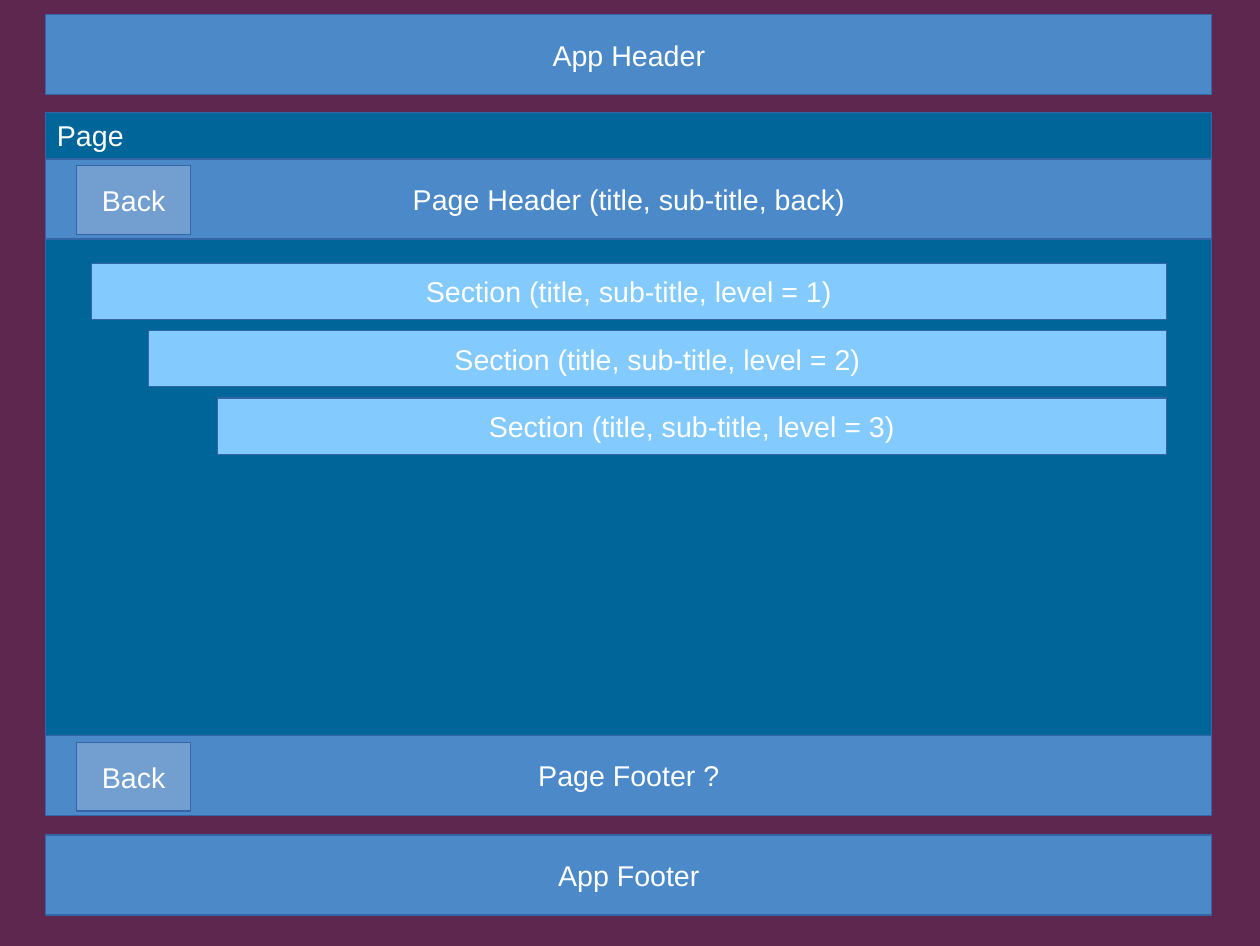
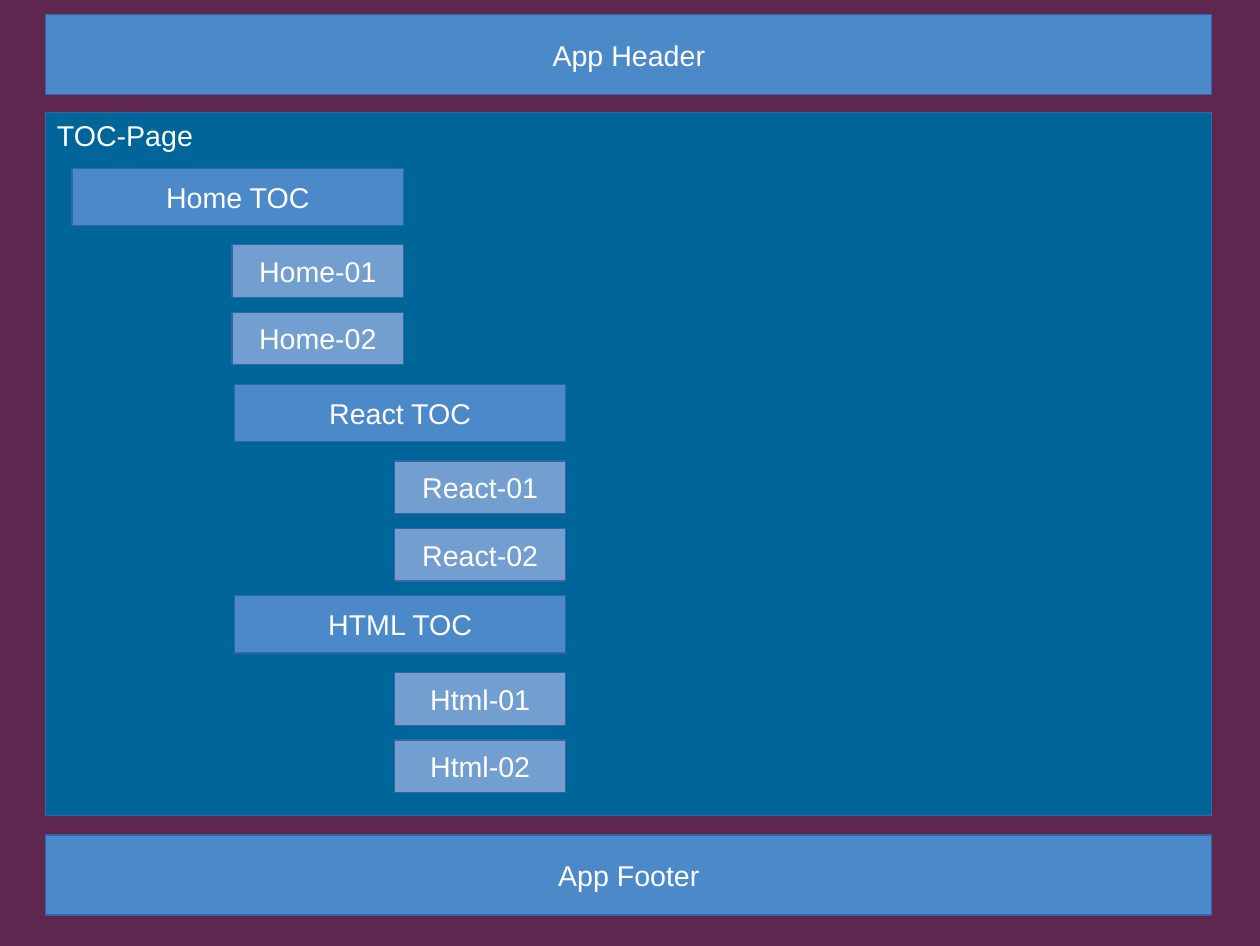
import dataclasses
import typing

import pptx
import pptx.dml.color
import pptx.enum.shapes
import pptx.enum.text
import pptx.util

Align = pptx.enum.text.PP_ALIGN
Anchor = pptx.enum.text.MSO_ANCHOR


@dataclasses.dataclass(frozen=True)
class Theme:
    back: str = "5E2750"
    page: str = "006699"
    bar: str = "4C89C9"
    item: str = "729FCF"
    section: str = "83CAFF"
    edge: str = "3465A4"
    ink: str = "FFFFFF"
    font: str = "Arial"
    size: int = 18


@dataclasses.dataclass(frozen=True)
class Box:
    left: float
    top: float
    width: float
    height: float


class Group(typing.NamedTuple):
    title: str
    left: float
    top: float
    items: tuple[str, ...]


THEME = Theme()
CELL = 0.1
COLS, ROWS = 110.2, 82.7
LEFT, WIDTH, BAR = 4, 102, 7
PAGE = Box(LEFT, 9.8, WIDTH, 61.5)
GROUPS = (
    Group("Home TOC", 6.3, 14.7, ("Home-01", "Home-02")),
    Group("React TOC", 20.5, 33.6, ("React-01", "React-02")),
    Group("HTML TOC", 20.5, 52.1, ("Html-01", "Html-02")),
)


def span(cells: float) -> pptx.util.Length:
    return pptx.util.Inches(cells * CELL)


def tint(code: str) -> pptx.dml.color.RGBColor:
    return pptx.dml.color.RGBColor.from_string(code)


def write(shape, text: str, *, align=Align.CENTER, anchor=Anchor.MIDDLE) -> None:
    frame = shape.text_frame
    frame.word_wrap = True
    frame.vertical_anchor = anchor
    para = frame.paragraphs[0]
    para.alignment = align
    run = para.add_run()
    run.text = text
    run.font.name = THEME.font
    run.font.size = pptx.util.Pt(THEME.size)
    run.font.color.rgb = tint(THEME.ink)


def draw(slide, box: Box, fill: str, text: str, **form) -> None:
    shape = slide.shapes.add_shape(
        pptx.enum.shapes.MSO_SHAPE.RECTANGLE,
        span(box.left), span(box.top), span(box.width), span(box.height),
    )
    shape.shadow.inherit = False
    shape.fill.solid()
    shape.fill.fore_color.rgb = tint(fill)
    shape.line.color.rgb = tint(THEME.edge)
    shape.line.width = pptx.util.Pt(0)
    write(shape, text, **form)


def band(slide, top: float, text: str) -> None:
    draw(slide, Box(LEFT, top, WIDTH, BAR), THEME.bar, text)


def frame(deck, title: str):
    slide = deck.slides.add_slide(deck.slide_layouts[6])
    slide.background.fill.solid()
    slide.background.fill.fore_color.rgb = tint(THEME.back)
    draw(slide, PAGE, THEME.page, title, align=Align.LEFT, anchor=Anchor.TOP)
    band(slide, 1.3, "App Header")
    band(slide, 73, "App Footer")
    return slide


def layout(deck) -> None:
    slide = frame(deck, "Page")
    foot = PAGE.top + PAGE.height - BAR
    for top, text in ((13.9, "Page Header (title, sub-title, back)"), (foot, "Page Footer ?")):
        band(slide, top, text)
        draw(slide, Box(6.7, top + 0.6, 10, 6), THEME.item, "Back")
    right = 102
    for level, left in enumerate((8, 13, 19)):
        box = Box(left, 23 + 5.9 * level, right - left, 4.9)
        draw(slide, box, THEME.section, f"Section (title, sub-title, level = {level + 1})")


def contents(deck) -> None:
    slide = frame(deck, "TOC-Page")
    for group in GROUPS:
        draw(slide, Box(group.left, group.top, 29, 5), THEME.bar, group.title)
        for row, text in enumerate(group.items):
            box = Box(group.left + 14, group.top + 6.7 + 5.9 * row, 15, 4.6)
            draw(slide, box, THEME.item, text)


def main() -> None:
    deck = pptx.Presentation()
    deck.slide_width, deck.slide_height = span(COLS), span(ROWS)
    layout(deck)
    contents(deck)
    deck.save("out.pptx")


if __name__ == "__main__":
    main()
